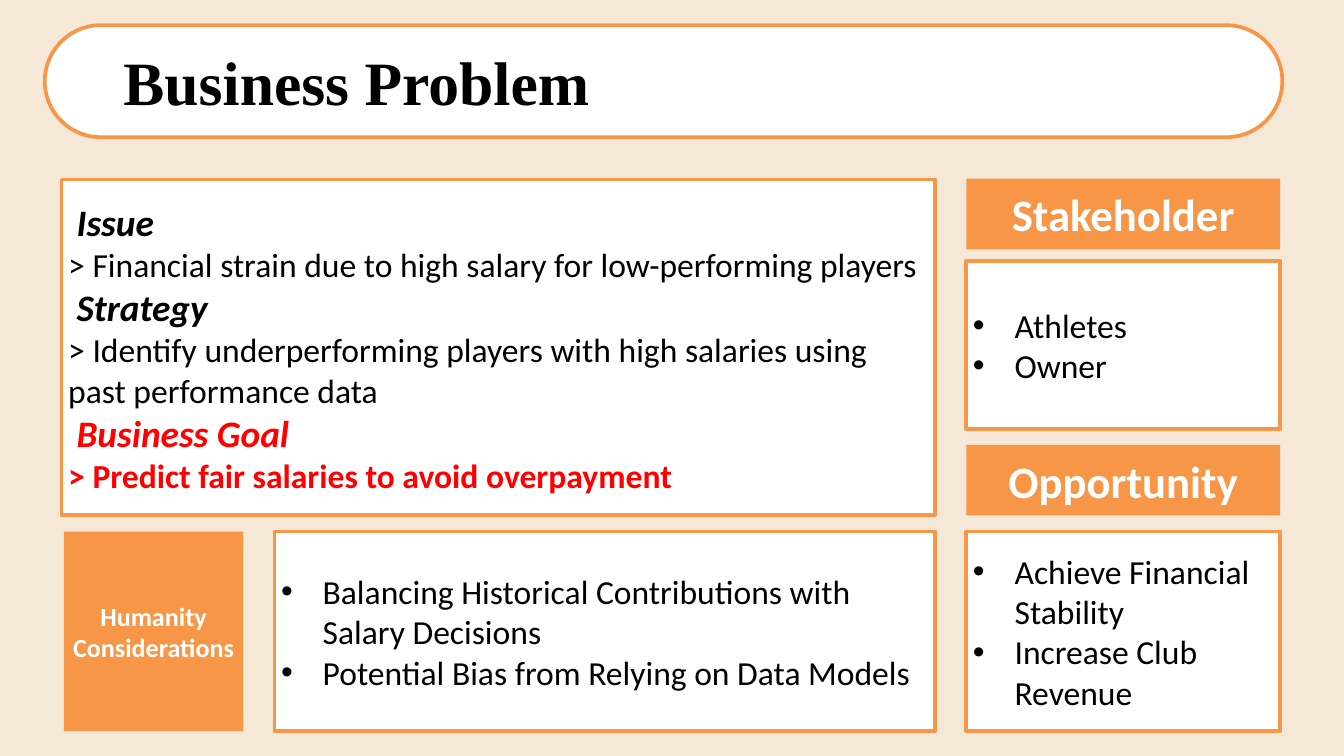
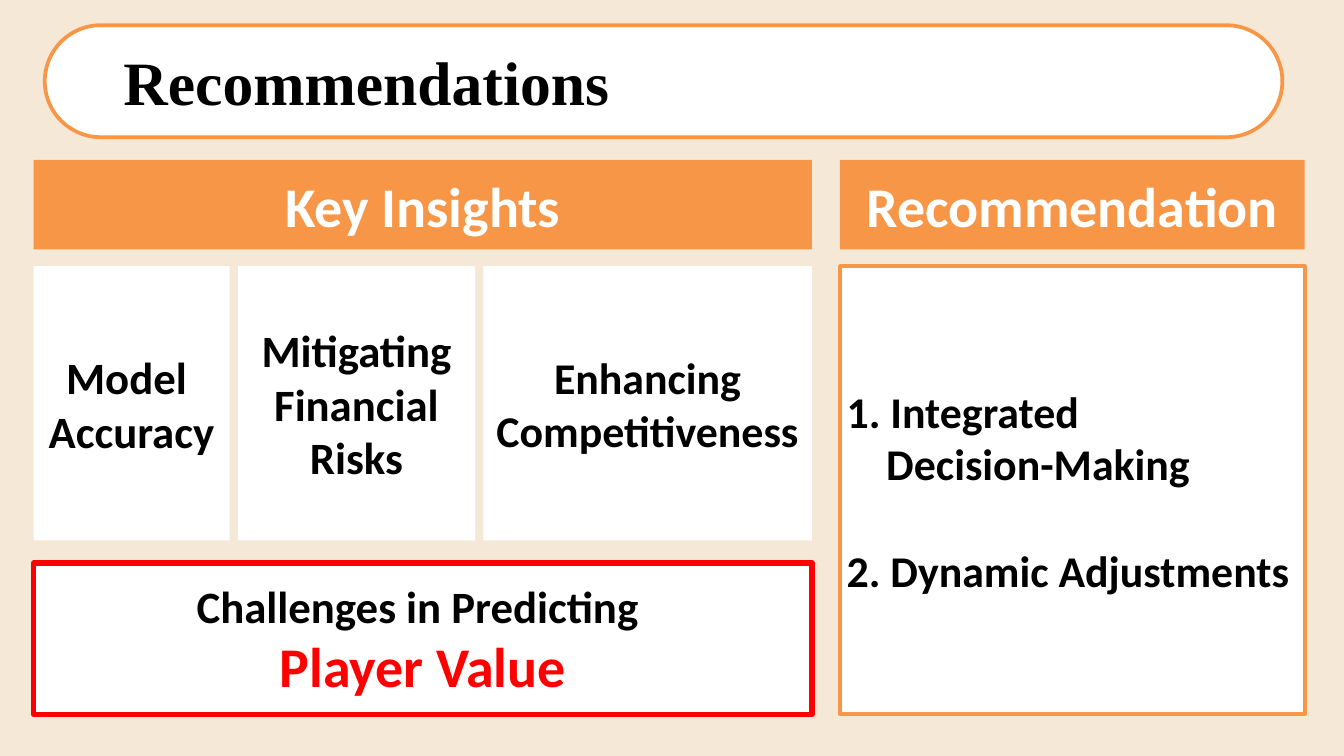
"""Build two slides on a business problem and its recommendations."""
from lxml import etree
from pptx import Presentation
from pptx import util as u
from pptx.dml import color
from pptx.enum import shapes, text
from pptx.oxml import ns

COLORS = {"sand": "F6E8D7", "orange": "F79646", "white": "FFFFFF",
          "black": "000000", "red": "FF0000"}
SLIDE_W, SLIDE_H = 1440, 810
TITLE_BOX = (48, 27, 1326, 120)

STYLES = {
    "header": dict(fill="orange", color="white", bold=True, align="CENTER"),
    "panel": dict(line="orange"),
    "card": dict(bold=True, align="CENTER"),
    "alert": dict(line="red", weight=5.75, bold=True, align="CENTER"),
}

HEADING = dict(size=40, bold=True, italic=True, left=9)
GOAL = dict(color="red", bold=True)
PROBLEM = [
    ("Issue", HEADING),
    "> Financial strain due to high salary for low-performing players",
    ("Strategy", HEADING),
    "> Identify underperforming players with high salaries using past performance data",
    ("Business Goal", HEADING | GOAL),
    ("> Predict fair salaries to avoid overpayment", GOAL),
]
SIDEBAR = [
    ("Stakeholder", 191.5, ["Athletes", "Owner"], 279.4, 180),
    ("Opportunity", 476.6,
     ["Achieve Financial Stability", "Increase Club Revenue"], 569.5, 213.8),
]
HUMANITY = ["Humanity", "Considerations"]
CONCERNS = ["Balancing Historical Contributions with Salary Decisions",
            "Potential Bias from Relying on Data Models"]

INSIGHTS = [(210, 48, ["Model ", "Accuracy"]),
            (254, 48, ["Mitigating Financial Risks"]),
            (352, 47, ["Enhancing Competitiveness"])]
CHALLENGE = ["Challenges in Predicting ", ("Player Value", dict(size=60, color="red"))]
ACTIONS = ["1. Integrated", ("Decision-Making", dict(left=42.5)),
           ("2. Dynamic Adjustments", dict(before=57.4))]


def rgb(name):
    return color.RGBColor.from_string(COLORS[name])


def write(p, content, size=36, font="Calibri", color="black", bold=False,
          italic=False, align="LEFT", left=0, before=0, bullet=False):
    p.alignment = getattr(text.PP_ALIGN, align)
    p.space_before = u.Pt(before)
    pPr = p._p.get_or_add_pPr()
    pPr.set("marL", str(u.Pt(44.6 if bullet else left)))
    if bullet:
        pPr.set("indent", str(-u.Pt(44.6)))
        etree.SubElement(pPr, ns.qn("a:buFont"), typeface="Arial")
        etree.SubElement(pPr, ns.qn("a:buChar"), char="•")
    r = p.add_run()
    r.text = content
    r.font.size, r.font.name = u.Pt(size), font
    r.font.bold, r.font.italic = bold, italic
    r.font.color.rgb = rgb(color)


def add_box(s, box, paragraphs, fill="white", line=None, weight=4,
            kind="RECTANGLE", **fmt):
    sp = s.shapes.add_shape(getattr(shapes.MSO_SHAPE, kind), *map(u.Pt, box))
    sp.shadow.inherit = False
    sp.fill.solid()
    sp.fill.fore_color.rgb = rgb(fill)
    if line:
        sp.line.color.rgb = rgb(line)
        sp.line.width = u.Pt(weight)
    else:
        sp.line.fill.background()
    tf = sp.text_frame
    tf.word_wrap = True
    tf.vertical_anchor = text.MSO_ANCHOR.MIDDLE
    for i, item in enumerate(paragraphs):
        content, extra = (item, {}) if isinstance(item, str) else item
        p = tf.add_paragraph() if i else tf.paragraphs[0]
        write(p, content, **(fmt | extra))
    return sp


def add_slide(prs, title):
    s = prs.slides.add_slide(prs.slide_layouts[6])
    s.background.fill.solid()
    s.background.fill.fore_color.rgb = rgb("sand")
    sp = add_box(s, TITLE_BOX, [title], kind="ROUNDED_RECTANGLE", line="orange",
                 size=66, font="Times New Roman", bold=True, left=59.7)
    sp.adjustments[0] = 0.5
    return s


def build_problem(prs):
    s = add_slide(prs, "Business Problem")
    left, right, bottom, bottom_h = 66, 1002, 569.5, 213.8
    side_x, side_w, concerns_x = 1035.4, 336.2, 294
    add_box(s, (left, 192.2, right - left, 359.3), PROBLEM, **STYLES["panel"])
    for heading, head_y, points, body_y, body_h in SIDEBAR:
        add_box(s, (side_x, head_y, side_w, 75.6), [heading], size=48, **STYLES["header"])
        add_box(s, (side_x, body_y, side_w, body_h), points, bullet=True, **STYLES["panel"])
    add_box(s, (68.4, bottom, 192.2, bottom_h), HUMANITY, size=28, **STYLES["header"])
    add_box(s, (concerns_x, bottom, right - concerns_x, bottom_h), CONCERNS,
            bullet=True, **STYLES["panel"])


def build_recommendations(prs):
    s = add_slide(prs, "Recommendations")
    left, width, side_x, side_w, gap = 36, 834, 900, 498, 9
    head_y, head_h, body_y, body_h = 171.4, 95.8, 285.1, 480.2
    challenge_h = 162
    for x, w, heading in [(left, width, "Key Insights"), (side_x, side_w, "Recommendation")]:
        add_box(s, (x, head_y, w, head_h), [heading], size=60, **STYLES["header"])
    x = left
    for w, size, lines in INSIGHTS:
        add_box(s, (x, body_y, w, 293.8), lines, size=size, **STYLES["card"])
        x += w + gap
    add_box(s, (left, body_y + body_h - challenge_h, width, challenge_h), CHALLENGE,
            size=48, **STYLES["alert"])
    add_box(s, (side_x, body_y, side_w, body_h), ACTIONS, size=47, bold=True,
            **STYLES["panel"])


def main():
    prs = Presentation()
    prs.slide_width, prs.slide_height = u.Pt(SLIDE_W), u.Pt(SLIDE_H)
    build_problem(prs)
    build_recommendations(prs)
    prs.save("out.pptx")


if __name__ == "__main__":
    main()
